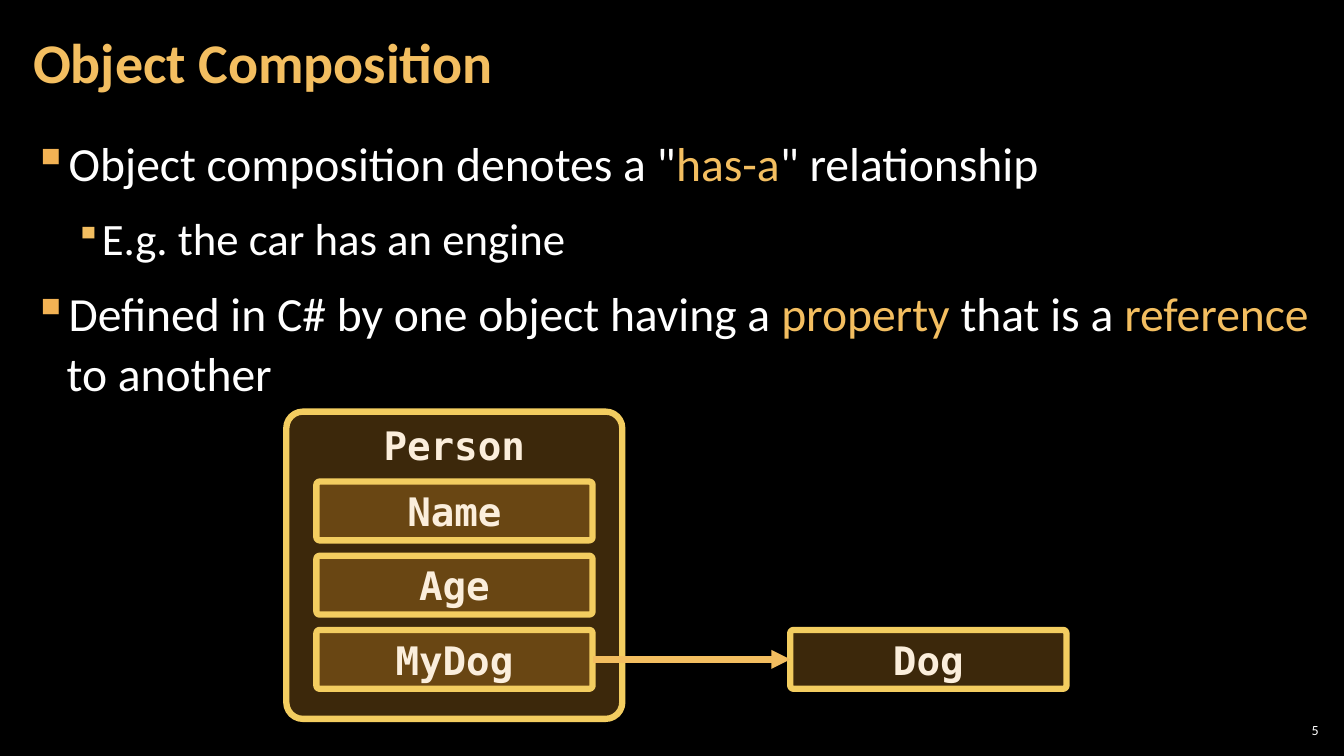
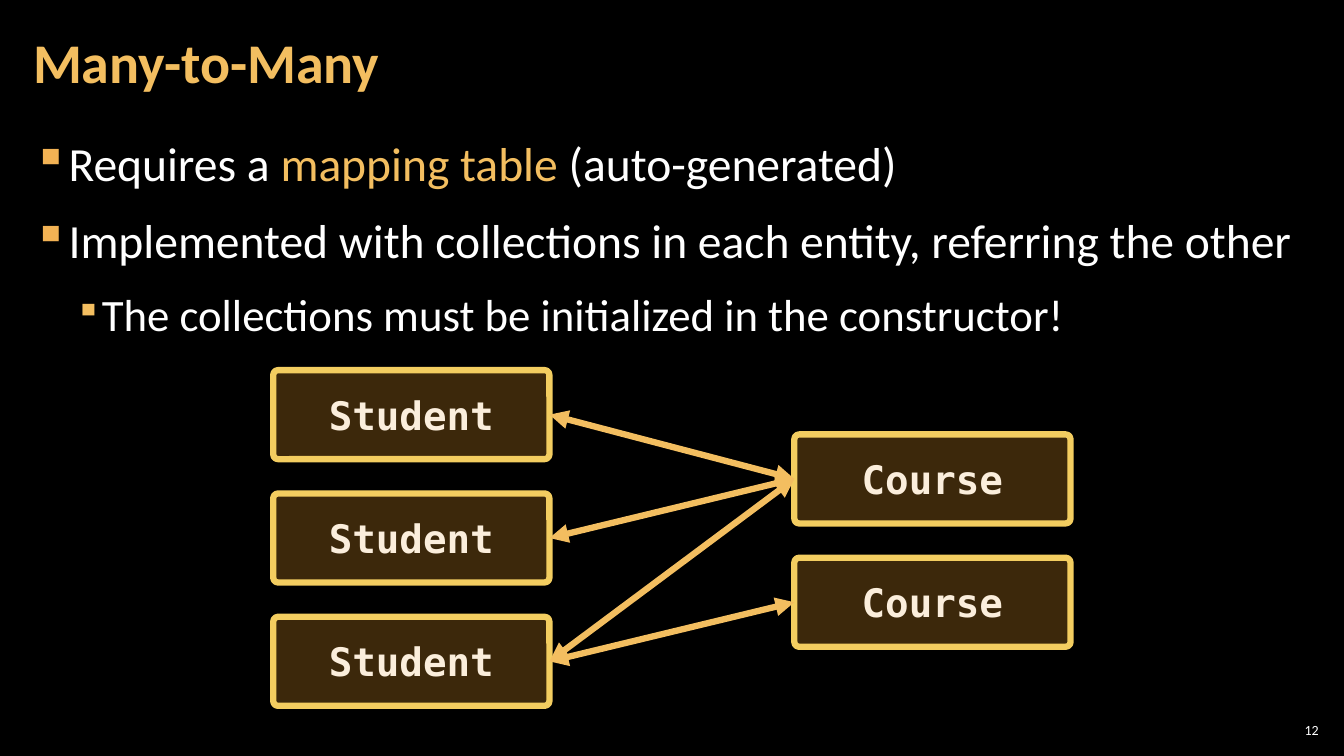
from dataclasses import dataclass

from pptx import Presentation
from pptx.dml.color import RGBColor
from pptx.enum.shapes import MSO_CONNECTOR, MSO_SHAPE
from pptx.enum.text import MSO_ANCHOR, MSO_AUTO_SIZE, PP_ALIGN
from pptx.oxml.ns import qn
from pptx.oxml.xmlchemy import OxmlElement
from pptx.util import Pt

STRAIGHT = MSO_CONNECTOR.STRAIGHT
ROUNDED = MSO_SHAPE.ROUNDED_RECTANGLE
TOP, MIDDLE = MSO_ANCHOR.TOP, MSO_ANCHOR.MIDDLE
LEFT, CENTER, RIGHT = PP_ALIGN.LEFT, PP_ALIGN.CENTER, PP_ALIGN.RIGHT
LEFT_SIDE, RIGHT_SIDE = 1, 3

COLORS = {
    "background": "000000",
    "text": "FFFFFF",
    "accent": "F3BE60",
    "bullet": "F2B254",
    "box_fill": "F0A22E",
    "box_line": "F3CD60",
    "box_text": "FBEEDC",
}
TEXT_FONT, CODE_FONT = "Calibri", "DejaVu Sans Mono"
TITLE_ONLY = 5
STROKE = 4.5
BOX_WIDTH = 197.3


@dataclass(frozen=True)
class Level:
    size: float
    margin: float
    hanging: float
    bullet_color: str
    bullet_percent: int


@dataclass(frozen=True)
class Bullet:
    """Text between asterisks is highlighted."""
    text: str
    level: int = 0


@dataclass(frozen=True)
class Box:
    label: str
    left: float
    top: float
    height: float
    width: float = BOX_WIDTH
    anchor: MSO_ANCHOR = MIDDLE


LEVELS = (Level(34, 24, 24, "bullet", 100), Level(32, 48, 18, "accent", 80))


def rgb(name: str) -> RGBColor:
    return RGBColor.from_string(COLORS[name])


def add_child(parent, tag: str, **attributes: str):
    child = OxmlElement(tag)
    for name, value in attributes.items():
        child.set(name, value)
    parent.append(child)
    return child


def write_text(paragraph, text: str, *, size: float, color: str = "text",
               font: str = TEXT_FONT, bold: bool = False,
               align: PP_ALIGN = LEFT, line_spacing: float = 1.0) -> None:
    paragraph.alignment = align
    paragraph.line_spacing = line_spacing
    for index, part in enumerate(text.split("*")):
        if not part:
            continue
        run = paragraph.add_run()
        run.text = part
        run.font.name = font
        run.font.size = Pt(size)
        run.font.bold = bold
        run.font.color.rgb = rgb("accent" if index % 2 else color)


def prepare_frame(shape, anchor: MSO_ANCHOR, side: float, edge: float):
    """Set wrapping, anchor and insets; return the text frame."""
    frame = shape.text_frame
    frame.word_wrap = True
    frame.auto_size = MSO_AUTO_SIZE.NONE
    frame.vertical_anchor = anchor
    frame.margin_left = frame.margin_right = Pt(side)
    frame.margin_top = frame.margin_bottom = Pt(edge)
    return frame


def format_bullet(paragraph, level: Level) -> None:
    paragraph.space_before = paragraph.space_after = Pt(6)
    properties = paragraph._p.get_or_add_pPr()
    properties.set("marL", str(Pt(level.margin)))
    properties.set("indent", str(-Pt(level.hanging)))
    color = add_child(properties, "a:buClr")
    add_child(color, "a:srgbClr", val=COLORS[level.bullet_color])
    add_child(properties, "a:buSzPct", val=str(level.bullet_percent * 1000))
    add_child(properties, "a:buChar", char="▪")


def add_bullets(slide, bullets: list[Bullet]) -> None:
    body = slide.shapes.add_textbox(Pt(15.1), Pt(90.7), Pt(929.5), Pt(438.5))
    frame = prepare_frame(body, TOP, 8.5, 2.8)
    for index, bullet in enumerate(bullets):
        paragraph = frame.add_paragraph() if index else frame.paragraphs[0]
        level = LEVELS[bullet.level]
        paragraph.level = bullet.level
        write_text(paragraph, bullet.text, size=level.size, line_spacing=1.05)
        format_bullet(paragraph, level)


def add_content_slide(presentation, title: str, number: int,
                      bullets: list[Bullet]):
    slide = presentation.slides.add_slide(presentation.slide_layouts[TITLE_ONLY])
    heading = slide.shapes.title
    heading.left, heading.top = Pt(15.1), Pt(3)
    heading.width, heading.height = Pt(754), Pt(87)
    write_text(prepare_frame(heading, MIDDLE, 8.5, 2.8).paragraphs[0], title,
               size=40, color="accent", bold=True, line_spacing=0.9)
    add_bullets(slide, bullets)
    footer = slide.shapes.add_textbox(Pt(911), Pt(514), Pt(33.8), Pt(15))
    write_text(prepare_frame(footer, MIDDLE, 2.8, 2.8).paragraphs[0],
               str(number), size=10, align=RIGHT)
    return slide


def add_box(shapes, box: Box):
    shape = shapes.add_shape(ROUNDED, Pt(box.left), Pt(box.top),
                             Pt(box.width), Pt(box.height))
    shape.adjustments[0] = 0.054
    shape.shadow.inherit = False
    shape.fill.solid()
    shape.fill.fore_color.rgb = rgb("box_fill")
    fill_color = shape._element.spPr.find(qn("a:solidFill")).find(qn("a:srgbClr"))
    add_child(fill_color, "a:alpha", val="25000")
    shape.line.color.rgb = rgb("box_line")
    shape.line.width = Pt(STROKE)
    write_text(prepare_frame(shape, box.anchor, 7.2, 3.6).paragraphs[0],
               box.label, size=28, color="box_text", font=CODE_FONT,
               bold=True, align=CENTER)
    return shape


def add_arrow(slide, source, target, *, both_ends: bool = False) -> None:
    connector = slide.shapes.add_connector(STRAIGHT, 0, 0, 0, 0)
    connector.begin_connect(source, RIGHT_SIDE)
    connector.end_connect(target, LEFT_SIDE)
    connector.line.color.rgb = rgb("accent")
    connector.line.width = Pt(STROKE)
    line = connector.line._get_or_add_ln()
    if both_ends:
        add_child(line, "a:headEnd", type="triangle")
    add_child(line, "a:tailEnd", type="triangle")
    add_child(connector._element.spPr, "a:effectLst")


def build_composition(presentation) -> None:
    slide = add_content_slide(presentation, "Object Composition", 5, [
        Bullet('Object composition denotes a "*has-a*" relationship'),
        Bullet("E.g. the car has an engine", 1),
        Bullet("Defined in C# by one object having a *property* that is a "
               "*reference* to another"),
    ])
    first_top, pitch, height = 344, 53, 42
    person = slide.shapes.add_group_shape()
    add_box(person.shapes, Box("Person", 204.5, 294, 219.5, 240, TOP))
    fields = [
        add_box(person.shapes, Box(name, 226, first_top + row * pitch, height))
        for row, name in enumerate(("Name", "Age", "MyDog"))
    ]
    dog = add_box(slide.shapes,
                  Box("Dog", 564.5, first_top + 2 * pitch, height))
    add_arrow(slide, fields[-1], dog)


def build_many_to_many(presentation) -> None:
    slide = add_content_slide(presentation, "Many-to-Many", 12, [
        Bullet("Requires a *mapping table *(auto-generated)"),
        Bullet("Implemented with collections in each entity, "
               "referring the other"),
        Bullet("The collections must be initialized in the constructor!", 1),
    ])

    def add_column(label: str, left: float, top: float, count: int) -> list:
        return [add_box(slide.shapes, Box(label, left, top + row * 88.1, 63.6))
                for row in range(count)]

    students = add_column("Student", 195.2, 264.4, 3)
    courses = add_column("Course", 567.4, 310.3, 2)
    for student, course in ((0, 0), (1, 0), (2, 0), (2, 1)):
        add_arrow(slide, students[student], courses[course], both_ends=True)


def main() -> None:
    presentation = Presentation()
    presentation.slide_width, presentation.slide_height = Pt(960), Pt(540)
    background = presentation.slide_master.background.fill
    background.solid()
    background.fore_color.rgb = rgb("background")
    build_composition(presentation)
    build_many_to_many(presentation)
    presentation.save("out.pptx")


if __name__ == "__main__":
    main()
